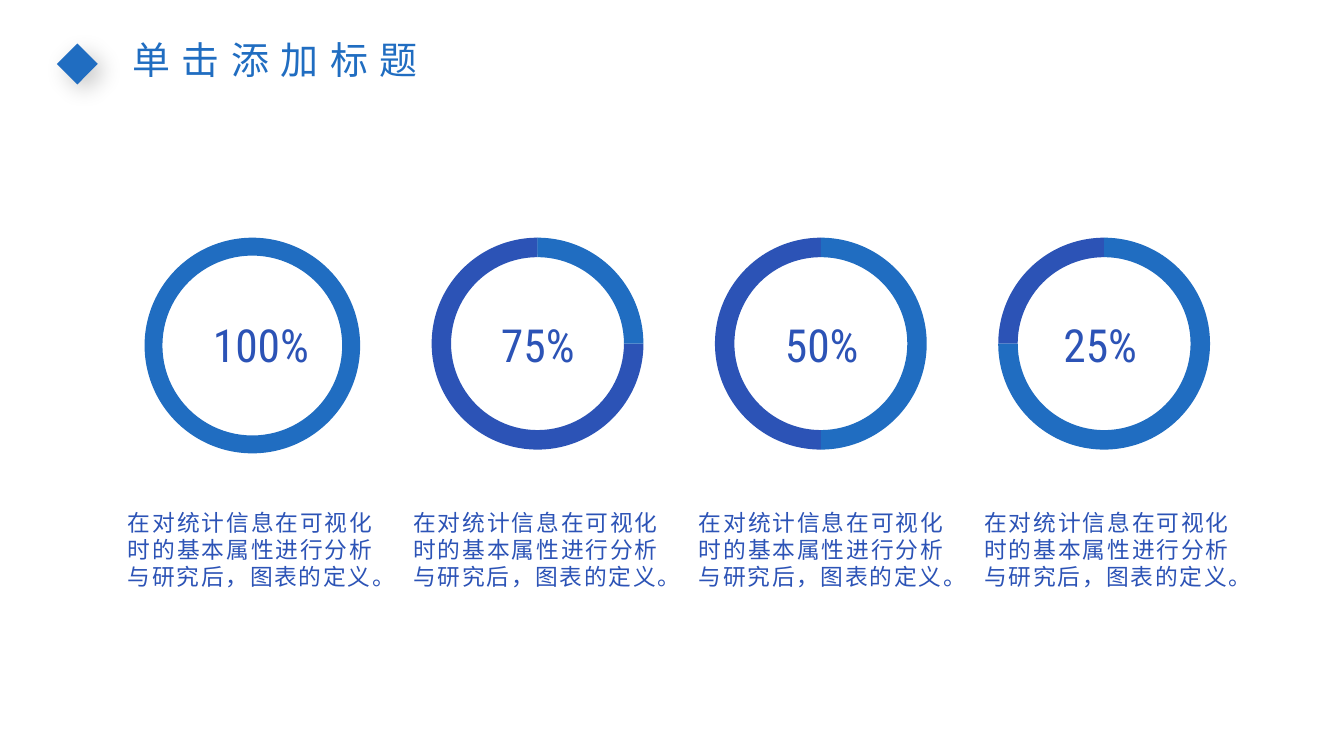
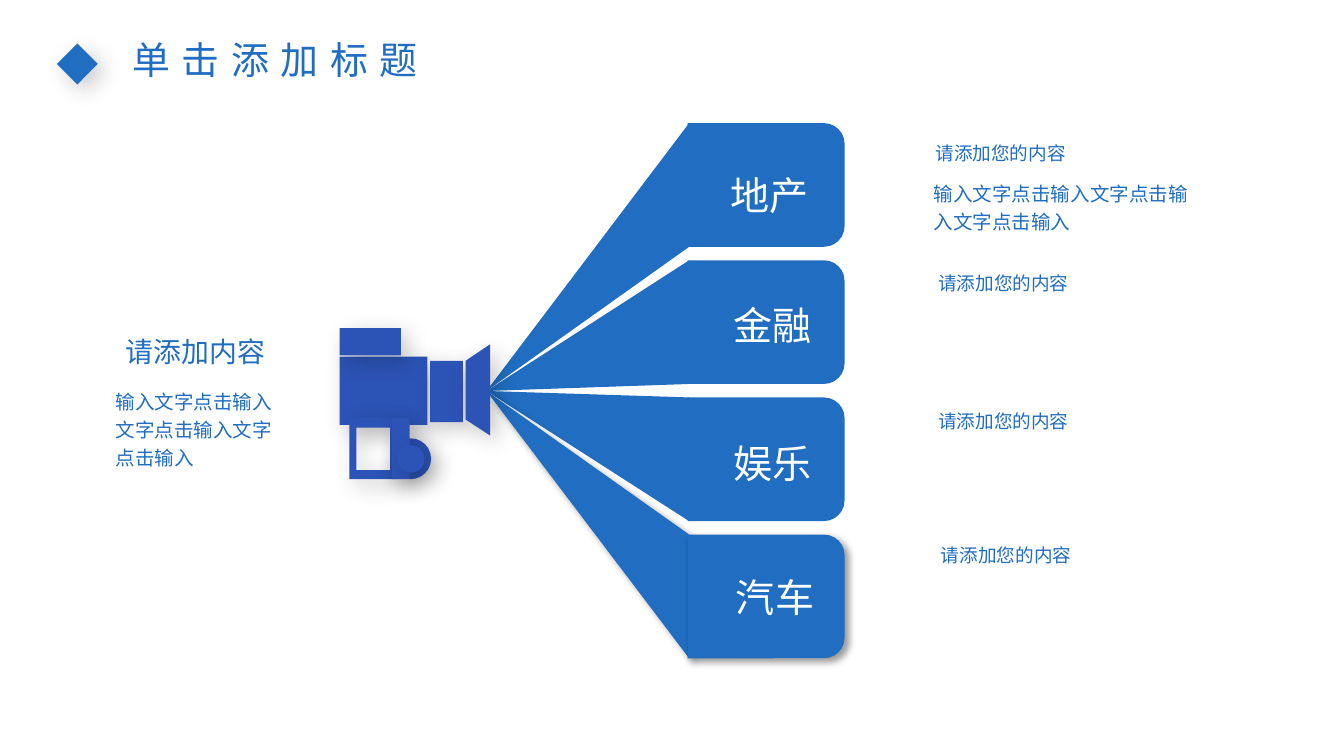
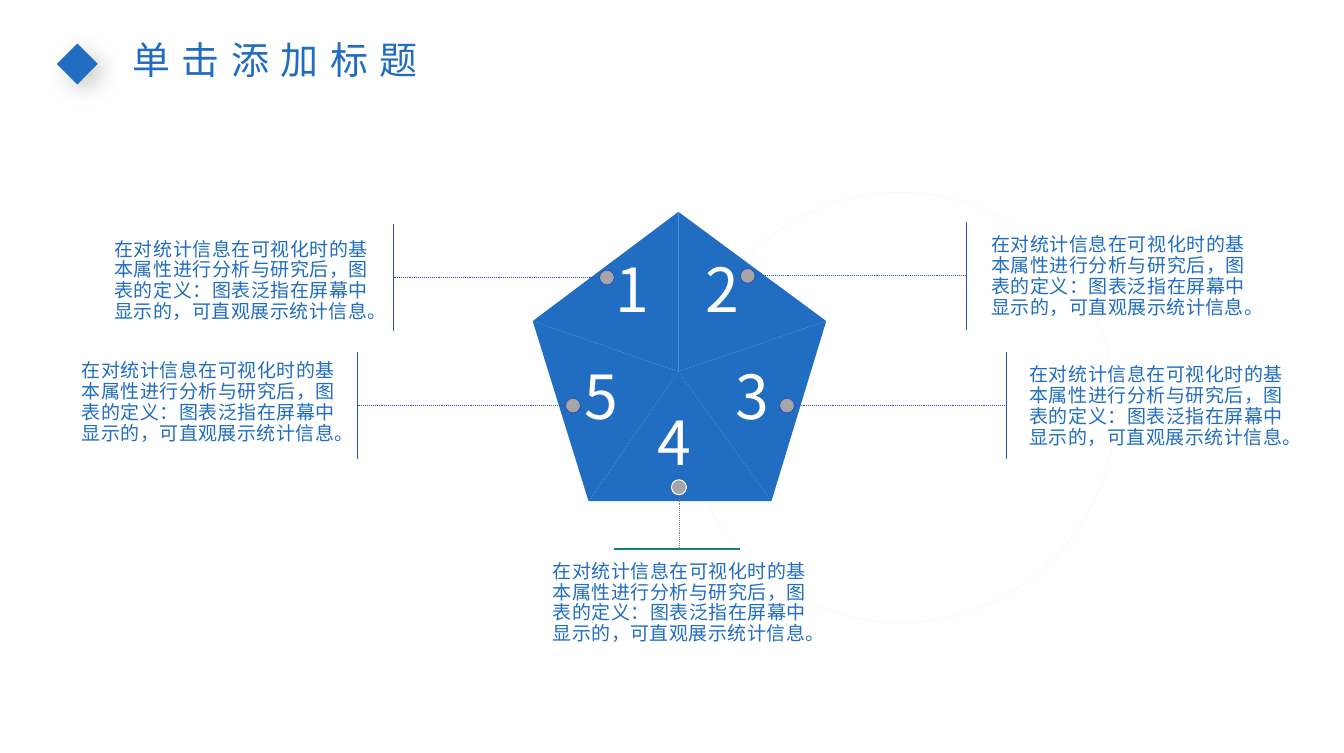
import lxml.etree
import pptx
import pptx.dml.color
import pptx.enum.dml
import pptx.enum.shapes
import pptx.enum.text
import pptx.oxml.ns
import pptx.util

Cm = pptx.util.Cm
Pt = pptx.util.Pt
SHAPE = pptx.enum.shapes.MSO_SHAPE
ALIGN = pptx.enum.text.PP_ALIGN
qn = pptx.oxml.ns.qn

BLUE, INDIGO, WHITE = "206DC1", "2C53B6", "FFFFFF"
GREY, DARK_GREY, PALE, TEAL = "A6A6A6", "808080", "F2F2F2", "11817F"
CJK, CONDENSED = "Noto Sans CJK SC", "Roboto Condensed"

# Shadows: opacity in percent, blur and distance in points
SOFT, TIGHT = (21, 12, 5), (40, 4, 3)


def color(value):
    return pptx.dml.color.RGBColor.from_string(value)


class Deck:
    """Holds the shared style and the slide being built."""

    def __init__(self):
        self.presentation = pptx.Presentation()
        self.presentation.slide_width = Cm(25)
        self.presentation.slide_height = Cm(14)
        self.slide = None

    def new_slide(self, title):
        layout = self.presentation.slide_layouts[6]
        self.slide = self.presentation.slides.add_slide(layout)
        self.shape(SHAPE.DIAMOND, 1.06, 0.81, 0.76, 0.76, BLUE, shadow=SOFT)
        self.text(title, 0.38, 0.56, 9.47, 1.12, 20, align=ALIGN.CENTER, tracking=6)

    def paint(self, shape, fill=None, line=None, line_width=0.5, shadow=None):
        shape.shadow.inherit = False
        if fill:
            shape.fill.solid()
            shape.fill.fore_color.rgb = color(fill)
        else:
            shape.fill.background()
        if line:
            shape.line.color.rgb = color(line)
            shape.line.width = Pt(line_width)
        else:
            shape.line.fill.background()
        if shadow:
            opacity, blur, distance = shadow
            effects = shape._element.spPr.find(qn("a:effectLst"))
            outer = lxml.etree.SubElement(
                effects, qn("a:outerShdw"), blurRad=str(Pt(blur)),
                dist=str(Pt(distance)), dir="2700000", algn="tl", rotWithShape="0")
            black = lxml.etree.SubElement(outer, qn("a:srgbClr"), val="000000")
            lxml.etree.SubElement(black, qn("a:alpha"), val=str(opacity * 1000))
        return shape

    def shape(self, kind, left, top, width, height, fill=None, adjust=(), **style):
        shape = self.slide.shapes.add_shape(kind, Cm(left), Cm(top), Cm(width), Cm(height))
        for index, value in enumerate(adjust):
            shape.adjustments[index] = value
        return self.paint(shape, fill, **style)

    def outline(self, contours, fill, shadow=None):
        contours = [[(Cm(x), Cm(y)) for x, y in contour] for contour in contours]
        builder = None
        for first, *others in contours:
            if builder is None:
                builder = self.slide.shapes.build_freeform(*first)
            else:
                builder.move_to(*first)
            builder.add_line_segments(others, close=True)
        return self.paint(builder.convert_to_shape(), fill, shadow=shadow)

    def line(self, start, end, line, width=0.5, dotted=False):
        connector = self.slide.shapes.add_connector(
            pptx.enum.shapes.MSO_CONNECTOR.STRAIGHT, *(Cm(value) for value in (*start, *end)))
        connector.line.color.rgb = color(line)
        connector.line.width = Pt(width)
        if dotted:
            connector.line.dash_style = pptx.enum.dml.MSO_LINE.ROUND_DOT
        lxml.etree.SubElement(connector._element.spPr, qn("a:effectLst"))

    def text(self, text, left, top, width, height, size, ink=BLUE, font=CJK,
             align=ALIGN.LEFT, spacing=None, tracking=0):
        box = self.slide.shapes.add_textbox(Cm(left), Cm(top), Cm(width), Cm(height))
        box.text_frame.word_wrap = True
        paragraph = box.text_frame.paragraphs[0]
        paragraph.alignment = align
        if spacing:
            paragraph.line_spacing = Pt(spacing)
        run = paragraph.add_run()
        run.text = text
        for name, value in {"size": Pt(size), "name": font}.items():
            setattr(run.font, name, value)
        run.font.color.rgb = color(ink)
        properties = run._r.get_or_add_rPr()
        lxml.etree.SubElement(properties, qn("a:ea"), typeface=font)
        if tracking:
            properties.set("spc", str(tracking * 100))


def build_rings(deck):
    deck.new_slide("单击添加标题")
    caption = "在对统计信息在可视化时的基本属性进行分析与研究后，图表的定义。"
    top, size, thickness = 4.42, 3.94, 0.092
    number_lefts = (3.71, 9.07, 14.35, 19.53)
    for column, (percent, number_left) in enumerate(zip((100, 75, 50, 25), number_lefts)):
        left = 2.76 + 5.27 * column
        if percent == 100:
            deck.shape(SHAPE.DONUT, 2.69, top, 4.01, 4.01, BLUE, (0.083,))
        else:
            # An arc adjustment counts 0.6 for each degree
            split, noon = 0.6 * (270 - 3.6 * percent), 0.6 * 270
            for start, end, fill in ((split, noon, INDIGO), (noon, split, BLUE)):
                deck.shape(SHAPE.BLOCK_ARC, left, top, size, size, fill,
                           (start, end, thickness))
        deck.text(f"{percent}%", number_left, 5.77, 2.6, 1.27, 24, INDIGO, CONDENSED)
        deck.text(caption, 2.13 + 5.31 * column, 9.34, 5.05, 1.8, 12, INDIGO,
                  align=ALIGN.JUSTIFY, spacing=14.2)


def build_camera(deck):
    deck.new_slide("单击添加标题")

    # Beams and tabs
    tab_left, tab_width, tab_height = 12.79, 2.92, 2.3
    inset = (tab_width - tab_height) / 2
    for row in range(4):
        top = 2.29 + 2.55 * row
        shadow = TIGHT if row == 3 else None
        beam = [(9.05, 7.27), (12.82, top), (12.82, top + tab_height)]
        deck.outline([beam], BLUE, shadow)
        tab = deck.shape(SHAPE.ROUND_2_SAME_RECTANGLE, tab_left + inset, top - inset,
                         tab_height, tab_width, BLUE, (0.167, 0), shadow=shadow)
        tab.rotation = 90

    # Camera
    lens = [(9.12, 6.4), (9.12, 8.1), (8.66, 7.8), (8.66, 6.71)]
    handle = [(6.5, 7.77), (7.39, 7.77), (7.39, 8.91), (6.5, 8.91)]
    opening = [(6.63, 7.95), (6.63, 8.74), (7.26, 8.74), (7.26, 7.95)]
    for place in ((6.32, 6.63, 1.63, 1.27), (6.32, 6.1, 1.14, 0.51), (8, 6.71, 0.61, 1.14)):
        deck.shape(SHAPE.RECTANGLE, *place, INDIGO, shadow=SOFT)
    for contours in ([lens], [opening, handle]):
        deck.outline(contours, INDIGO, SOFT)
    deck.shape(SHAPE.OVAL, 7.26, 8.15, 0.76, 0.76, INDIGO, shadow=SOFT)
    deck.shape(SHAPE.RECTANGLE, 7.29, 7.77, 0.33, 1.14, INDIGO, shadow=SOFT)
    deck.shape(SHAPE.OVAL, 7.39, 8.28, 0.51, 0.51, INDIGO, shadow=SOFT)

    # Tab labels and headings
    topics = (("地产", 17.15, 2.51), ("金融", 17.2, 4.93),
              ("娱乐", 17.2, 7.49), ("汽车", 17.25, 9.98))
    for label, left, top in topics:
        deck.text("请添加您的内容", left, top, 4.52, 0.69, 9.8)
        deck.text(label, left - 3.81, top + 0.55, 2.41, 1.14, 20.6, WHITE)

    # Body text
    deck.text("请添加内容", 2.08, 6.1, 3.73, 0.89, 14.7)
    body = "输入文字点击输入文字点击输入文字点击输入"
    for left, top, width, height in ((17.12, 3.18, 5.33, 1.83), (1.9, 7.04, 3.76, 2.36)):
        deck.text(body, left, top, width, height, 10.3, spacing=14.8)


def build_pentagon(deck):
    deck.new_slide("单击添加标题")
    deck.shape(SHAPE.OVAL, 12.75, 3.58, 8, 8, line=PALE, line_width=0.1)

    # Pentagon cut into five triangles
    center = (12.62, 6.91)
    corners = [(9.91, 5.97), (12.62, 3.94), (15.37, 5.97), (14.35, 9.32), (10.95, 9.32)]
    for index, corner in enumerate(corners):
        deck.outline([[center, corner, corners[(index + 1) % 5]]], BLUE)
    places = ((11.2, 5.49), (12.88, 5.49), (13.44, 7.47), (11.99, 8.33), (10.62, 7.47))
    for number, (left, top) in enumerate(places, 1):
        deck.text(str(number), left, top, 1.14, 0.84, 32, WHITE,
                  align=ALIGN.JUSTIFY, spacing=12)

    # Callouts at the sides: dot centre, height, bar
    dot = 0.28
    for dot_x, y, bar_x in ((13.91, 5.13, 17.98), (14.64, 7.54, 18.72),
                            (11.29, 5.16, 7.32), (10.66, 7.54, 6.65)):
        deck.line((dot_x, y), (bar_x, y), INDIGO, dotted=True)
        deck.line((bar_x, y - 1), (bar_x, y + 1), INDIGO, 0.75)
        deck.shape(SHAPE.OVAL, dot_x - dot / 2, y - dot / 2, dot, dot, GREY, line=INDIGO)

    # Callout below
    deck.shape(SHAPE.OVAL, 12.49, 8.92, dot, dot, GREY, line=WHITE)
    deck.line((12.63, 9.2), (12.63, 10.21), DARK_GREY, dotted=True)
    deck.line((11.43, 10.21), (13.77, 10.21), TEAL, 0.75)

    caption = ("在对统计信息在可视化时的基本属性进行分析与研究后，图表的定义："
               "图表泛指在屏幕中显示的，可直观展示统计信息。")
    for left, top in ((18.19, 4.24), (1.88, 4.32), (18.9, 6.65), (10.03, 10.31), (1.27, 6.58)):
        deck.text(caption, left, top, 5.21, 1.83, 10, align=ALIGN.JUSTIFY, spacing=11)


def main():
    deck = Deck()
    for build in (build_rings, build_camera, build_pentagon):
        build(deck)
    deck.presentation.save("out.pptx")


if __name__ == "__main__":
    main()
